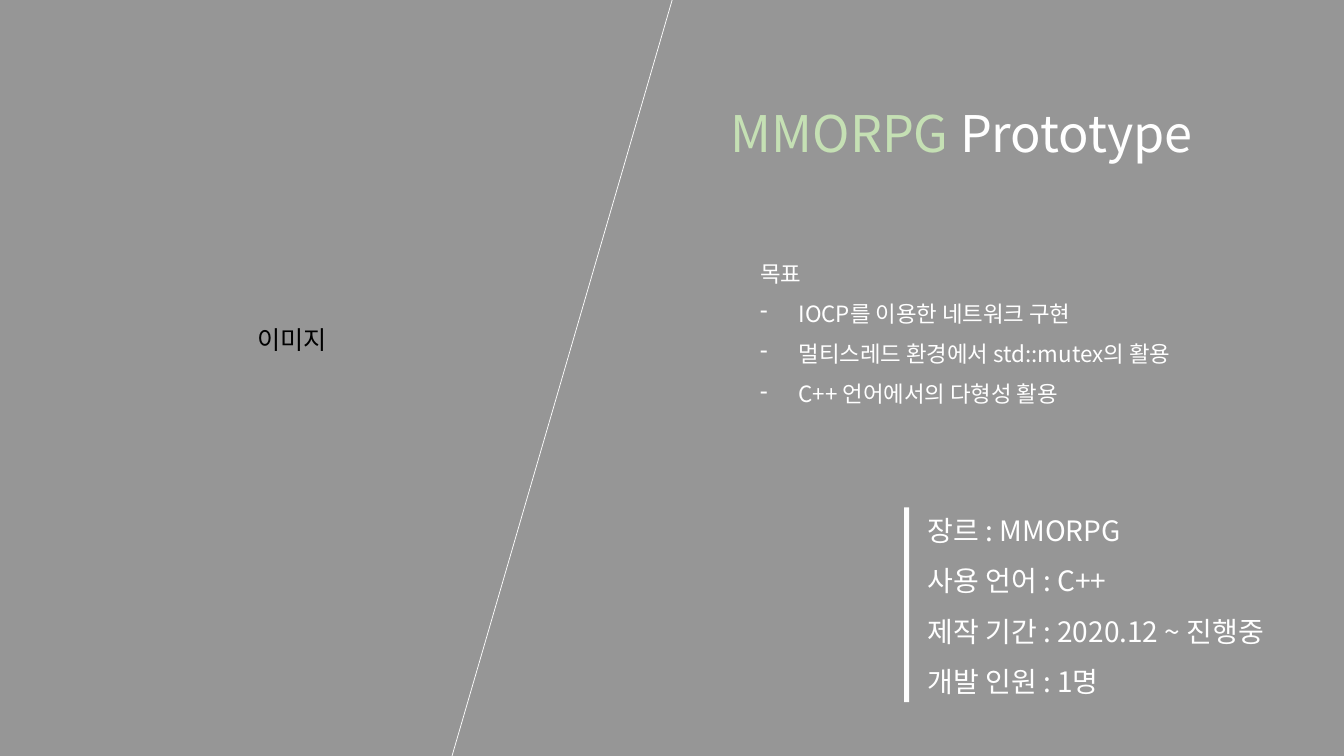
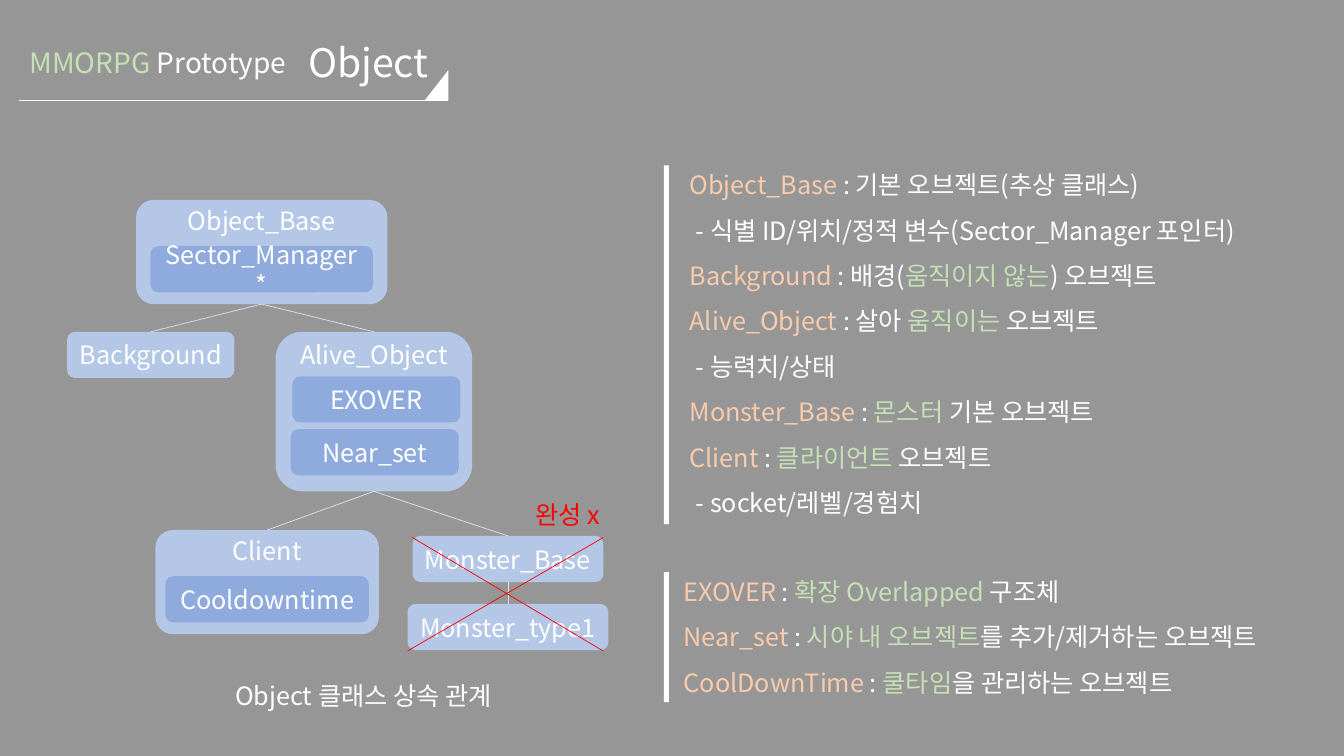
from lxml import etree
from pptx import Presentation
from pptx.dml.color import RGBColor
from pptx.enum.shapes import MSO_CONNECTOR, MSO_SHAPE
from pptx.enum.text import MSO_ANCHOR, PP_ALIGN
from pptx.oxml.ns import qn
from pptx.util import Emu, Inches, Pt

FONT = "Noto Sans CJK KR"
GREY = RGBColor(0x96, 0x96, 0x96)
WHITE = RGBColor(0xFF, 0xFF, 0xFF)
BLACK = RGBColor(0x00, 0x00, 0x00)
GREEN = RGBColor(0xC5, 0xE0, 0xB4)
PEACH = RGBColor(0xF8, 0xCB, 0xAD)
LIGHT = RGBColor(0xB4, 0xC7, 0xE7)
BLUE = RGBColor(0x8F, 0xAA, 0xDC)
PALE = RGBColor(0xDA, 0xE3, 0xF3)
RED = RGBColor(0xFF, 0x00, 0x00)

# Grid of 160 columns by 90 rows with square cells
prs = Presentation()
prs.slide_width, prs.slide_height = Inches(13.33), Inches(7.5)
CELL = prs.slide_height / 90
prs.slide_master.background.fill.solid()
prs.slide_master.background.fill.fore_color.rgb = GREY
blank = prs.slide_layouts[6]


def add(s, kind, at, fill=None):
    """Place a filled shape, or a text box when kind is None."""
    at = [Emu(round(v * CELL)) for v in at]
    if kind is None:
        return s.shapes.add_textbox(*at)
    sp = s.shapes.add_shape(kind, *at)
    sp.shadow.inherit = False
    sp.fill.solid()
    sp.fill.fore_color.rgb = fill
    sp.line.fill.background()
    return sp


def write(sp, lines, size, align=PP_ALIGN.LEFT, anchor=MSO_ANCHOR.MIDDLE, spacing=1.0):
    """Each line is a list of (text, colour) runs."""
    tf = sp.text_frame
    tf.word_wrap = True
    tf.vertical_anchor = anchor
    for i, line in enumerate(lines):
        p = tf.add_paragraph() if i else tf.paragraphs[0]
        p.alignment, p.line_spacing = align, spacing
        for text, color in line:
            r = p.add_run()
            r.text = text
            r.font.size, r.font.name = Pt(size), FONT
            r.font.color.rgb = color
            ea = etree.SubElement(r._r.get_or_add_rPr(), qn("a:ea"))
            ea.set("typeface", FONT)
    return tf


cover = prs.slides.add_slide(blank)
detail = prs.slides.add_slide(blank)

# Project name on both slides
for s, at, size in [(cover, (85.8, 11.6, 63.1, 8.5), 36),
                    (detail, (2.3, 4.8, 33.2, 5.3), 20)]:
    write(add(s, None, at), [[("MMORPG ", GREEN), ("Prototype", WHITE)]], size,
          anchor=MSO_ANCHOR.TOP)

# Single-line labels
for s, at, text, size, color, align in [
    (cover, (27.7, 38, 14.2, 4.8), "이미지", 18, BLACK, PP_ALIGN.CENTER),
    (detail, (35.5, 2, 29.9, 10.7), "Object", 28, WHITE, PP_ALIGN.LEFT),
    (detail, (23.5, 79.4, 39.5, 6.8), "Object 클래스 상속 관계", 18, WHITE, PP_ALIGN.CENTER),
    (detail, (56.9, 58.9, 21.4, 4.8), "완성 x", 18, RED, PP_ALIGN.CENTER),
]:
    write(add(s, None, at), [[(text, color)]], size, align)

# Cover: goals with dash bullets
goals = ["목표", "IOCP를 이용한 네트워크 구현",
         "멀티스레드 환경에서 std::mutex의 활용", "C++ 언어에서의 다형성 활용"]
tf = write(add(cover, None, (89.3, 30.2, 56, 17.4)),
           [[(goal, WHITE)] for goal in goals], 16, spacing=1.5)
for p in tf.paragraphs[1:]:
    pPr = p._p.get_or_add_pPr()
    pPr.set("marL", str(Inches(0.38)))
    pPr.set("indent", str(-Inches(0.38)))
    etree.SubElement(pPr, qn("a:buChar")).set("char", "-")

# Cover: project facts
facts = ["장르 : MMORPG", "사용 언어 : C++", "제작 기간 : 2020.12 ~ 진행중", "개발 인원 : 1명"]
write(add(cover, None, (109.2, 62.4, 53.6, 17.4)),
      [[(fact, WHITE)] for fact in facts], 20, spacing=1.5)

# Detail: class descriptions
classes = [
    [("Object_Base ", PEACH), (": 기본 오브젝트(추상 클래스)", WHITE)],
    [("- 식별 ID/위치/정적 변수(Sector_Manager 포인터)", WHITE)],
    [("Background", PEACH), (" : 배경(", WHITE), ("움직이지 않는", GREEN), (") 오브젝트", WHITE)],
    [("Alive_Object ", PEACH), (": 살아 ", WHITE), ("움직이는", GREEN), (" 오브젝트", WHITE)],
    [("- 능력치/상태", WHITE)],
    [("Monster_Base", PEACH), (" : ", WHITE), ("몬스터", GREEN), (" 기본 오브젝트", WHITE)],
    [("Client ", PEACH), (": ", WHITE), ("클라이언트", GREEN), (" 오브젝트", WHITE)],
    [("- socket/레벨/경험치", WHITE)],
]
members = [
    [("EXOVER", PEACH), (" : ", WHITE), ("확장 Overlapped ", GREEN), ("구조체", WHITE)],
    [("Near_set ", PEACH), (": ", WHITE), ("시야 내 오브젝트", GREEN),
     ("를 추가/제거하는 오브젝트", WHITE)],
    [("CoolDownTime ", PEACH), (": ", WHITE), ("쿨타임", GREEN),
     ("을 관리하는 오브젝트", WHITE)],
]
for at, lines in [((80.9, 31.3, 77.8, 17.4), classes), ((80.2, 66.2, 77.8, 17.4), members)]:
    tf = write(add(detail, None, at), lines, 18, spacing=1.5)
    for p in tf.paragraphs:
        if p.text.startswith("-"):
            p._p.get_or_add_pPr().set("marL", str(Inches(0.06)))

# White bars beside the text blocks
for s, x, y, h in [(cover, 107.6, 60.4, 23.2), (detail, 79, 19.7, 42.7), (detail, 79, 68.1, 15.5)]:
    add(s, MSO_SHAPE.RECTANGLE, (x, y, 0.6, h), WHITE)

# Corner of the title underline
add(detail, MSO_SHAPE.RIGHT_TRIANGLE, (50.15, 8.75, 3.6, 2.8), WHITE).rotation = 270

# Class tree: containers hold their name at the top, members sit inside
ROW = 5.5
nodes = {}
for name, x, y, w, h, fill in [
    ("Object_Base", 16.2, 23.8, 29.9, 12.4, LIGHT),
    ("Sector_Manager*", 17.9, 29.3, 26.5, ROW, BLUE),
    ("Background", 8, 39.5, 19.9, ROW, LIGHT),
    ("Alive_Object", 32.8, 39.5, 23.4, 19, LIGHT),
    ("EXOVER", 34.8, 44.8, 20, ROW, BLUE),
    ("Near_set", 34.6, 51.1, 20, ROW, BLUE),
    ("Client", 18.5, 63.1, 26.6, 12.4, LIGHT),
    ("Cooldowntime", 19.7, 68.6, 24.2, ROW, BLUE),
    ("Monster_Base", 49.1, 63.8, 22.7, ROW, LIGHT),
    ("Monster_type1", 48.5, 71.9, 23.9, ROW, LIGHT),
]:
    sp = nodes[name] = add(detail, MSO_SHAPE.ROUNDED_RECTANGLE, (x, y, w, h), fill)
    anchor = MSO_ANCHOR.TOP if h > ROW else MSO_ANCHOR.MIDDLE
    tf = write(sp, [[(name, WHITE)]], 18, PP_ALIGN.CENTER, anchor)
    if h > ROW:
        tf.margin_top = 0

# Inheritance links, from bottom centre to top centre
lines = []
for parent, child in [("Object_Base", "Alive_Object"), ("Object_Base", "Background"),
                      ("Alive_Object", "Client"), ("Alive_Object", "Monster_Base"),
                      ("Monster_Base", "Monster_type1")]:
    link = detail.shapes.add_connector(MSO_CONNECTOR.STRAIGHT, 0, 0, 0, 0)
    link.begin_connect(nodes[parent], 2)
    link.end_connect(nodes[child], 0)
    lines.append((link, PALE))

# Cover divider, title underline and the cross over the monster classes
for s, ends, color in [
    (cover, (80, 0, 53.8, 90), WHITE),
    (detail, (53.3, 11.9, 2.3, 11.9), WHITE),
    (detail, (49.1, 64, 71.8, 77.5), RED),
    (detail, (48.5, 77.5, 71.8, 64), RED),
]:
    ends = [Emu(round(v * CELL)) for v in ends]
    lines.append((s.shapes.add_connector(MSO_CONNECTOR.STRAIGHT, *ends), color))

for line, color in lines:
    line.line.color.rgb = color
    line.line.width = Pt(0.5)
    etree.SubElement(line._element.spPr, qn("a:effectLst"))

prs.save("out.pptx")
